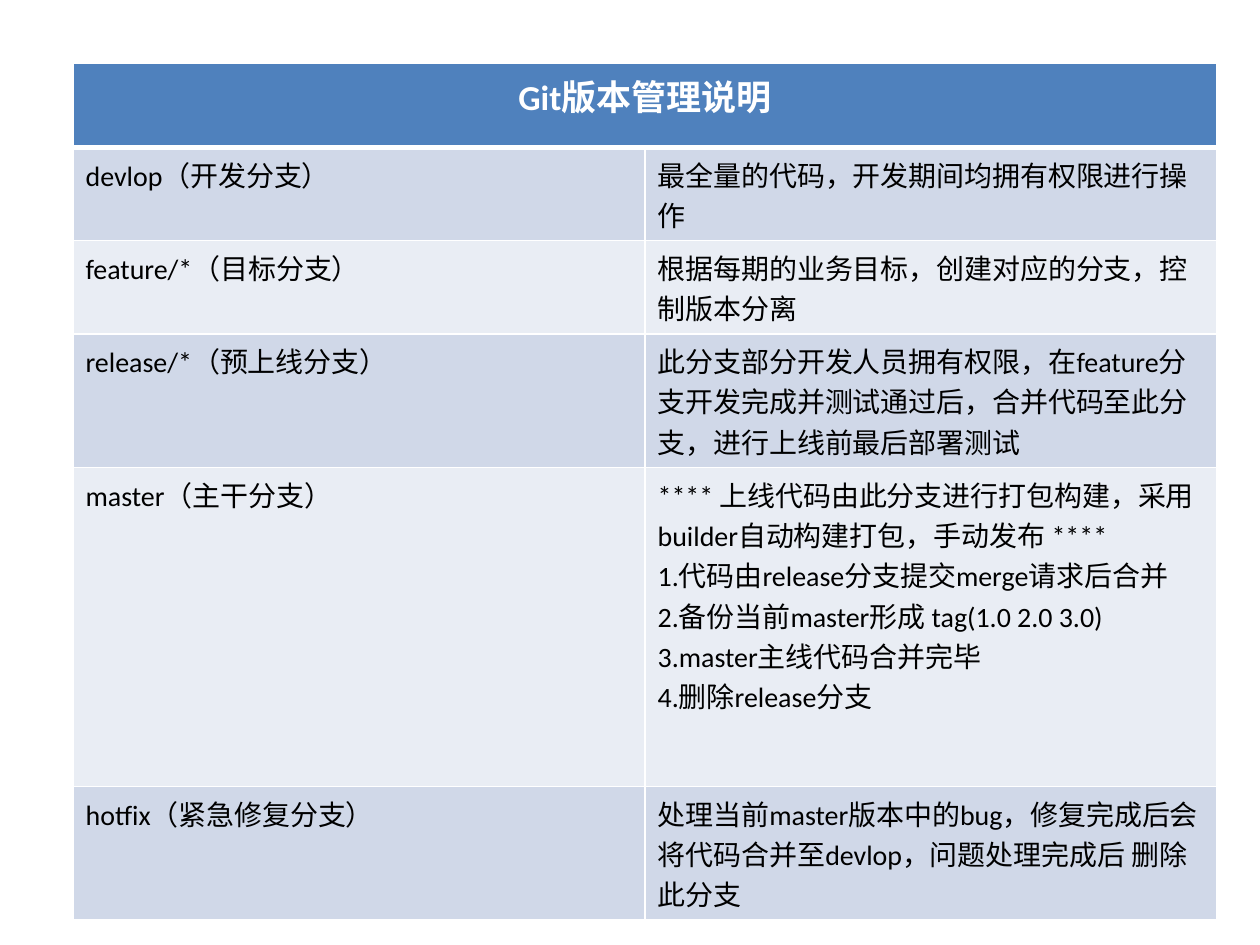
from lxml import etree
from pptx import Presentation
from pptx.dml.color import RGBColor
from pptx.enum.text import PP_ALIGN
from pptx.oxml.ns import qn
from pptx.util import Inches, Pt

CENTER, LEFT = PP_ALIGN.CENTER, PP_ALIGN.LEFT
COLORS = {"header": "4F81BD", "odd": "D0D8E8", "even": "E9EDF4",
          "line": "FFFFFF", "light": "FFFFFF", "dark": "000000"}
HEADER = {"size": Pt(20), "bold": True, "name": "Calibri"}
BODY = {"size": Pt(16), "bold": False, "name": "Calibri"}

TITLE = "Git版本管理说明"
# Branch, row height in inches, description paragraphs
BRANCHES = [
    ("devlop（开发分支）", 0.72, ["最全量的代码，开发期间均拥有权限进行操作"]),
    ("feature/*（目标分支）", 0.72, ["根据每期的业务目标，创建对应的分支，控制版本分离"]),
    ("release/*（预上线分支）", 1.02,
     ["此分支部分开发人员拥有权限，在feature分支开发完成并测试通过后，"
      "合并代码至此分支，进行上线前最后部署测试"]),
    ("master（主干分支）", 2.53,
     ["**** 上线代码由此分支进行打包构建，采用builder自动构建打包，手动发布 ****",
      "1.代码由release分支提交merge请求后合并",
      "2.备份当前master形成 tag(1.0 2.0 3.0)",
      "3.master主线代码合并完毕",
      "4.删除release分支"]),
    ("hotfix（紧急修复分支）", 1.02,
     ["处理当前master版本中的bug，修复完成后会将代码合并至devlop，"
      "问题处理完成后 删除此分支"]),
]


def rgb(key):
    return RGBColor.from_string(COLORS[key])


def set_borders(cell, top=1, bottom=1):
    tcPr = cell._tc.get_or_add_tcPr()
    widths = {"a:lnL": 1, "a:lnR": 1, "a:lnT": top, "a:lnB": bottom}
    for i, (tag, width) in enumerate(widths.items()):
        ln = etree.Element(qn(tag), w=str(Pt(width)))
        fill = etree.SubElement(ln, qn("a:solidFill"))
        etree.SubElement(fill, qn("a:srgbClr"), val=COLORS["line"])
        tcPr.insert(i, ln)


def fill_cell(cell, lines, fill, color, style, align=LEFT, **borders):
    cell.fill.solid()
    cell.fill.fore_color.rgb = rgb(fill)
    set_borders(cell, **borders)
    tf = cell.text_frame
    for i, line in enumerate(lines):
        p = tf.add_paragraph() if i else tf.paragraphs[0]
        p.alignment = align
        r = p.add_run()
        r.text = line
        r.font.color.rgb = rgb(color)
        for name, value in style.items():
            setattr(r.font, name, value)


def add_branch_table(s, left, top, width):
    heights = [0.67] + [height for _, height, _ in BRANCHES]
    table = s.shapes.add_table(len(heights), 2, Inches(left), Inches(top),
                               Inches(width), Inches(sum(heights))).table
    for row, height in zip(table.rows, heights):
        row.height = Inches(height)

    # Header across both columns
    table.cell(0, 0).merge(table.cell(0, 1))
    for col in range(2):
        fill_cell(table.cell(0, col), [] if col else [TITLE], "header",
                  "light", HEADER, CENTER, bottom=3)

    # Banded branch rows
    for i, (branch, _, notes) in enumerate(BRANCHES, 1):
        band = "odd" if i % 2 else "even"
        for col, lines in enumerate(([branch], notes)):
            fill_cell(table.cell(i, col), lines, band, "dark", BODY,
                      top=3 if i == 1 else 1)


prs = Presentation()
prs.slide_width, prs.slide_height = Inches(10), Inches(7.5)
s = prs.slides.add_slide(prs.slide_layouts[6])
add_branch_table(s, 0.58, 0.5, 9.08)
prs.save("out.pptx")
